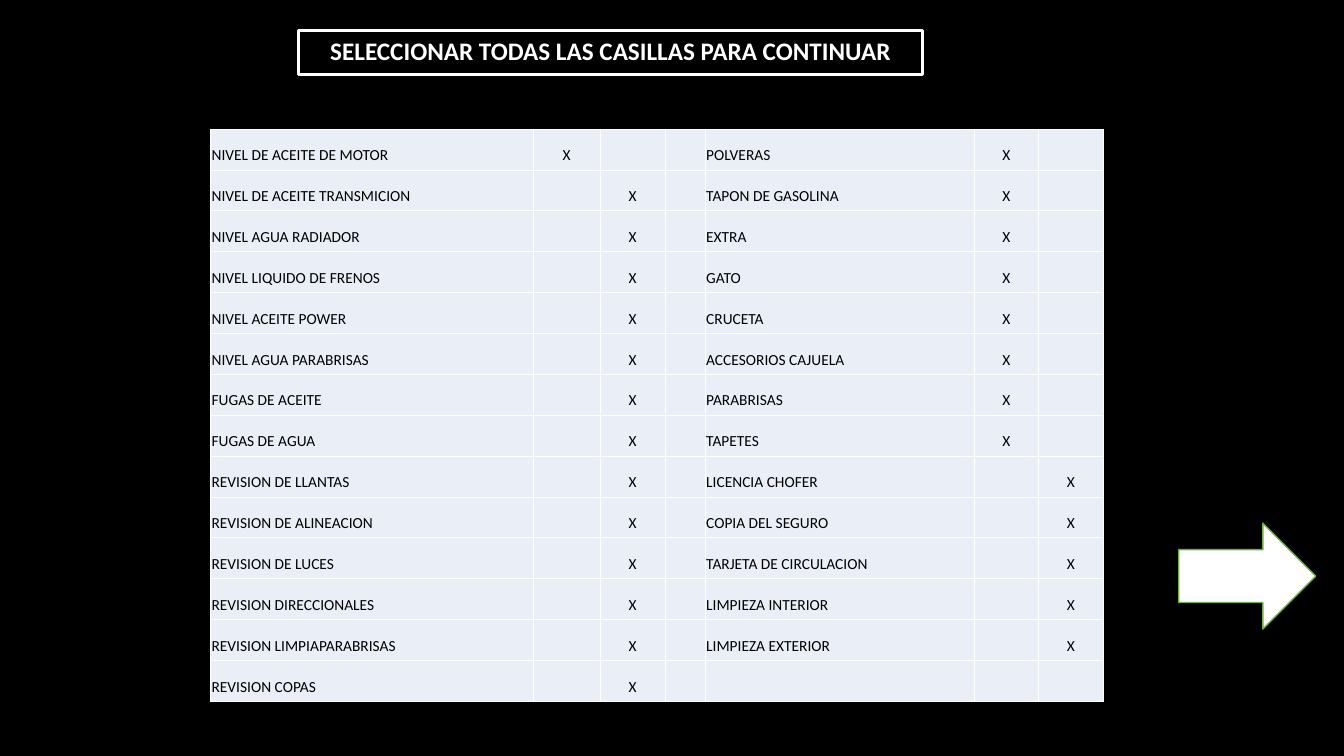
from lxml.etree import SubElement
from pptx import Presentation
from pptx.dml.color import RGBColor
from pptx.enum.shapes import MSO_SHAPE
from pptx.enum.text import MSO_ANCHOR, MSO_AUTO_SIZE, PP_ALIGN
from pptx.oxml.ns import qn
from pptx.util import Inches, Pt

HEADING = "SELECCIONAR TODAS LAS CASILLAS PARA CONTINUAR"
CHECKS = [
    ("NIVEL DE ACEITE DE MOTOR", "X", "", "", "POLVERAS", "X", ""),
    ("NIVEL DE ACEITE TRANSMICION", "", "X", "", "TAPON DE GASOLINA", "X", ""),
    ("NIVEL AGUA RADIADOR", "", "X", "", "EXTRA", "X", ""),
    ("NIVEL LIQUIDO DE FRENOS", "", "X", "", "GATO", "X", ""),
    ("NIVEL ACEITE POWER", "", "X", "", "CRUCETA", "X", ""),
    ("NIVEL AGUA PARABRISAS", "", "X", "", "ACCESORIOS CAJUELA", "X", ""),
    ("FUGAS DE ACEITE", "", "X", "", "PARABRISAS", "X", ""),
    ("FUGAS DE AGUA", "", "X", "", "TAPETES", "X", ""),
    ("REVISION DE LLANTAS", "", "X", "", "LICENCIA CHOFER", "", "X"),
    ("REVISION DE ALINEACION", "", "X", "", "COPIA DEL SEGURO", "", "X"),
    ("REVISION DE LUCES", "", "X", "", "TARJETA DE CIRCULACION", "", "X"),
    ("REVISION DIRECCIONALES", "", "X", "", "LIMPIEZA INTERIOR", "", "X"),
    ("REVISION LIMPIAPARABRISAS", "", "X", "", "LIMPIEZA EXTERIOR", "", "X"),
    ("REVISION COPAS", "", "X", "", "", "", ""),
]
COLUMN_WIDTHS = [3.2, 0.67, 0.64, 0.4, 2.67, 0.64, 0.64]
TABLE_HEIGHT = 4.96
LABEL_COLUMNS = (0, 4)
WHITE, BLACK, PALE_BLUE, GREEN = "FFFFFF", "000000", "EAEFF7", "70AD47"


def paint(color_format, color):
    color_format.rgb = RGBColor.from_string(color)


def fill_with(fill, color):
    fill.solid()
    paint(fill.fore_color, color)


def write(paragraph, text, size, color, align, bold=False):
    paragraph.alignment = align
    run = paragraph.add_run()
    run.text = text
    run.font.name = "Calibri"
    run.font.size = Pt(size)
    run.font.bold = bold
    paint(run.font.color, color)


def add_borders(cell, color, points):
    properties = cell._tc.get_or_add_tcPr()
    for side in ("a:lnL", "a:lnR", "a:lnT", "a:lnB"):
        border = SubElement(properties, qn(side), w=str(Pt(points)))
        solid = SubElement(border, qn("a:solidFill"))
        SubElement(solid, qn("a:srgbClr"), val=color)


def add_heading(slide):
    heading = slide.shapes.title
    heading.left, heading.top = Inches(2.96), Inches(0.3)
    heading.width, heading.height = Inches(6.2), Inches(0.44)
    paint(heading.line.color, WHITE)
    heading.line.width = Pt(2)
    frame = heading.text_frame
    frame.auto_size = MSO_AUTO_SIZE.NONE
    frame.word_wrap = True
    frame.vertical_anchor = MSO_ANCHOR.MIDDLE
    frame.paragraphs[0].line_spacing = 0.9
    write(frame.paragraphs[0], HEADING, 18, WHITE, PP_ALIGN.CENTER, bold=True)


def add_checklist(slide):
    checklist = slide.shapes.add_table(
        len(CHECKS), len(COLUMN_WIDTHS), Inches(2.09), Inches(1.28),
        Inches(sum(COLUMN_WIDTHS)), Inches(TABLE_HEIGHT)).table
    checklist.first_row = checklist.horz_banding = False
    for column, width in zip(checklist.columns, COLUMN_WIDTHS):
        column.width = Inches(width)
    for row, checks in enumerate(CHECKS):
        for column, text in enumerate(checks):
            cell = checklist.cell(row, column)
            add_borders(cell, WHITE, 0.45)
            fill_with(cell.fill, PALE_BLUE)
            cell.vertical_anchor = MSO_ANCHOR.BOTTOM
            cell.margin_left = cell.margin_right = Inches(0.01)
            if text:
                align = PP_ALIGN.LEFT if column in LABEL_COLUMNS else PP_ALIGN.CENTER
                write(cell.text_frame.paragraphs[0], text, 11, BLACK, align)


def add_next_arrow(slide):
    arrow = slide.shapes.add_shape(
        MSO_SHAPE.RIGHT_ARROW, Inches(11.7), Inches(5.19), Inches(1.36), Inches(1.05))
    arrow.shadow.inherit = False
    fill_with(arrow.fill, WHITE)
    paint(arrow.line.color, GREEN)
    arrow.line.width = Pt(1)


def main():
    deck = Presentation()
    deck.slide_width, deck.slide_height = Inches(13.34), Inches(7.5)
    slide = deck.slides.add_slide(deck.slide_layouts[5])
    fill_with(slide.background.fill, BLACK)
    add_heading(slide)
    add_checklist(slide)
    add_next_arrow(slide)
    deck.save("out.pptx")


if __name__ == "__main__":
    main()
